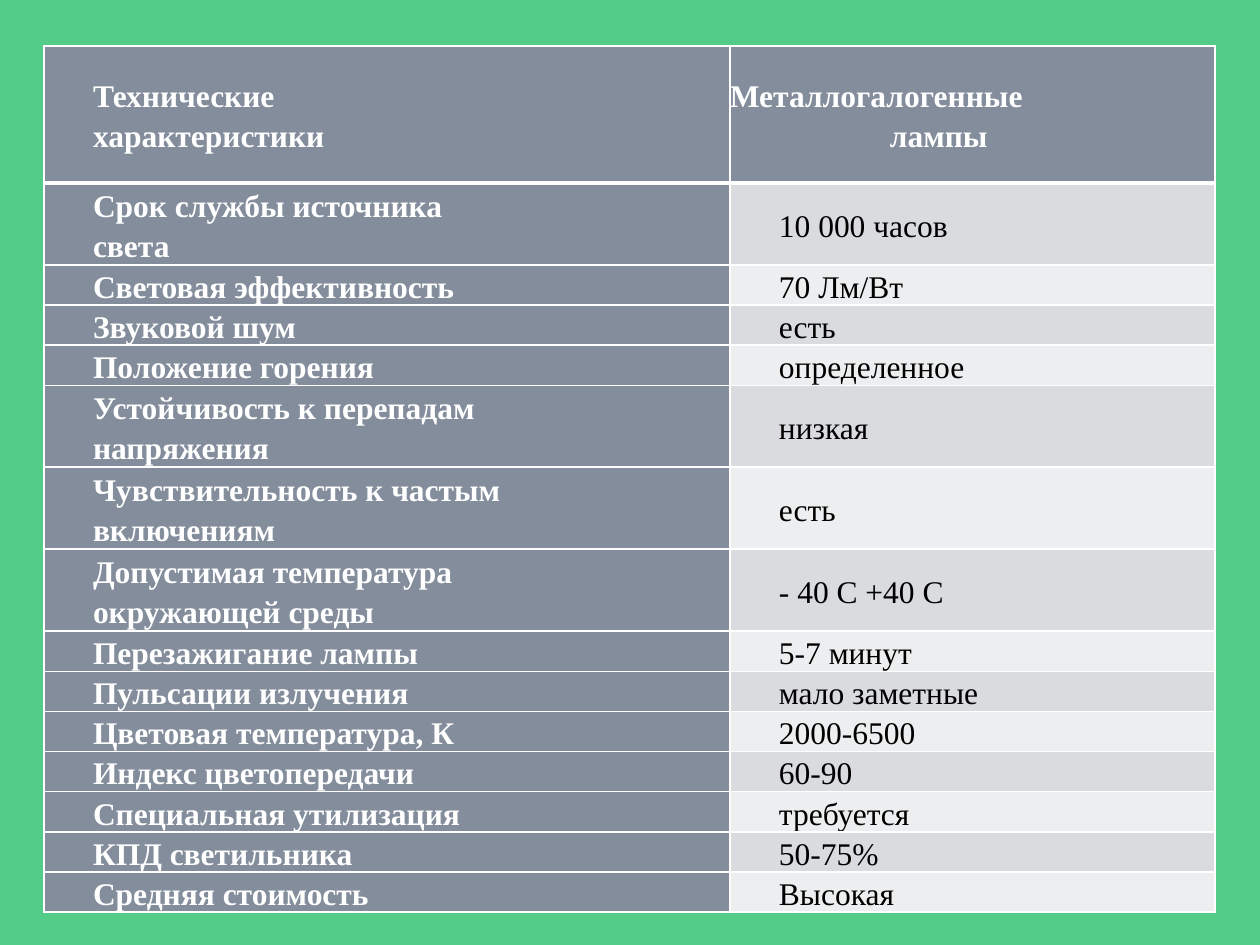
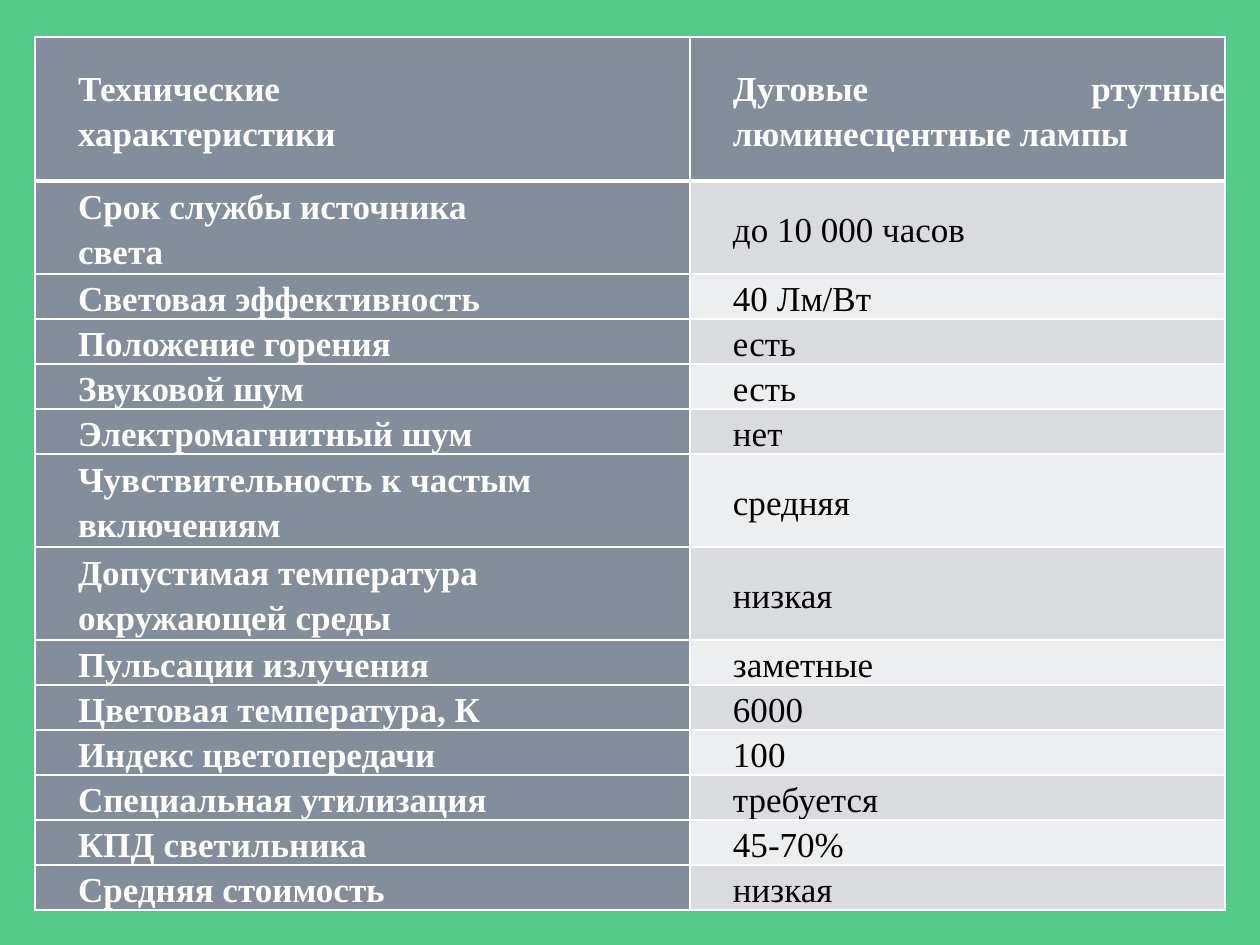
"""Build two slides with tables of lamp characteristics."""
from lxml.etree import SubElement
from pptx import Presentation
from pptx.dml.color import RGBColor
from pptx.enum.text import MSO_ANCHOR, PP_ALIGN
from pptx.oxml.ns import qn
from pptx.util import Pt

PX = 914400 // 126
GREEN = RGBColor(0x54, 0xCC, 0x89)
SLATE = RGBColor(0x83, 0x8D, 0x9B)
DARK = RGBColor(0xD9, 0xDB, 0xDE)
LIGHT = RGBColor(0xED, 0xEE, 0xEF)
WHITE = RGBColor(0xFF, 0xFF, 0xFF)
BLACK = RGBColor(0, 0, 0)
FONT = "Times New Roman"

HEAD = "Технические\nхарактеристики"
LIFE = "Срок службы источника\nсвета"
POWER = "Световая эффективность"
NOISE = "Звуковой шум"
PLACE = "Положение горения"
START = "Чувствительность к частым\nвключениям"
HEAT = "Допустимая температура\nокружающей среды"
PULSE = "Пульсации излучения"
TONE = "Цветовая температура, К"
INDEX = "Индекс цветопередачи"
WASTE = "Специальная утилизация"
YIELD = "КПД светильника"
PRICE = "Средняя стоимость"

METAL = [
    (HEAD, "Металлогалогенные\nлампы"),
    (LIFE, "10 000 часов"),
    (POWER, "70 Лм/Вт"),
    (NOISE, "есть"),
    (PLACE, "определенное"),
    ("Устойчивость к перепадам\nнапряжения", "низкая"),
    (START, "есть"),
    (HEAT, "- 40 C +40 C"),
    ("Перезажигание лампы", "5-7 минут"),
    (PULSE, "мало заметные"),
    (TONE, "2000-6500"),
    (INDEX, "60-90"),
    (WASTE, "требуется"),
    (YIELD, "50-75%"),
    (PRICE, "Высокая"),
]
ARC = [
    (HEAD, "Дуговые ртутные\vлюминесцентные лампы"),
    (LIFE, "до 10 000 часов"),
    (POWER, "40 Лм/Вт"),
    (PLACE, "есть"),
    (NOISE, "есть"),
    ("Электромагнитный шум", "нет"),
    (START, "средняя"),
    (HEAT, "низкая"),
    (PULSE, "заметные"),
    (TONE, "6000"),
    (INDEX, "100"),
    (WASTE, "требуется"),
    (YIELD, "45-70%"),
    (PRICE, "низкая"),
]


class Deck:
    """Hold the shared style and the current slide."""

    def __init__(self):
        self.prs = Presentation()
        self.prs.slide_width = 1260 * PX
        self.prs.slide_height = 945 * PX

    def page(self):
        """Start a blank green slide."""
        self.slide = self.prs.slides.add_slide(self.prs.slide_layouts[6])
        fill = self.slide.background.fill
        fill.solid()
        fill.fore_color.rgb = GREEN

    def indent(self, par, left, first=0):
        """Set the left margin and first-line indent."""
        props = par._p.get_or_add_pPr()
        props.set("marL", str(left * PX))
        props.set("indent", str(first * PX))

    def edge(self, cell, side, width):
        """Draw one white cell border."""
        line = SubElement(cell._tc.get_or_add_tcPr(), qn(f"a:ln{side}"), w=str(Pt(width)))
        fill = SubElement(line, qn("a:solidFill"))
        SubElement(fill, qn("a:srgbClr"), val=str(WHITE))

    def cell(self, cell, text, row, col, size, left, first):
        """Fill and format one cell."""
        label = row == 0 or col == 0
        cell.text = text
        cell.vertical_anchor = MSO_ANCHOR.MIDDLE
        cell.margin_left = cell.margin_right = cell.margin_top = cell.margin_bottom = 0
        for side in "LRTB":
            thick = (row, side) in ((0, "B"), (1, "T"))
            self.edge(cell, side, 3 if thick else 1)
        cell.fill.solid()
        cell.fill.fore_color.rgb = SLATE if label else DARK if row % 2 else LIGHT
        for par in cell.text_frame.paragraphs:
            self.indent(par, left, first)
            par.alignment = PP_ALIGN.JUSTIFY
            par.line_spacing = 1.15
            par.font.name = FONT
            par.font.size = Pt(size)
            par.font.bold = label
            par.font.color.rgb = WHITE if label else BLACK

    def table(self, data, spot, cols, highs, size, left=0, first=0):
        """Add a table; highs are header, one-line and two-line heights."""
        head, one, two = highs
        rows = [head] + [two if "\n" in name else one for name, _ in data[1:]]
        x, y = spot
        frame = self.slide.shapes.add_table(
            len(rows), len(cols), x * PX, y * PX, sum(cols) * PX, sum(rows) * PX)
        table = frame.table
        table.first_row = table.horz_banding = False
        for col, width in zip(table.columns, cols):
            col.width = width * PX
        for row, high in zip(table.rows, rows):
            row.height = high * PX
        for row, pair in enumerate(data):
            for col, text in enumerate(pair):
                self.cell(table.cell(row, col), text, row, col, size, left, first)
        return table


def main():
    """Build and save both slides."""
    deck = Deck()
    deck.page()
    table = deck.table(METAL, (44, 46), (686, 485), (137, 40, 82), 18, first=49)
    top, low = table.cell(0, 1).text_frame.paragraphs
    deck.indent(top, 0)
    deck.indent(low, 160)
    deck.page()
    deck.table(ARC, (35, 37), (655, 535), (144, 45, 93), 20, left=43)
    deck.prs.save("out.pptx")


if __name__ == "__main__":
    main()
